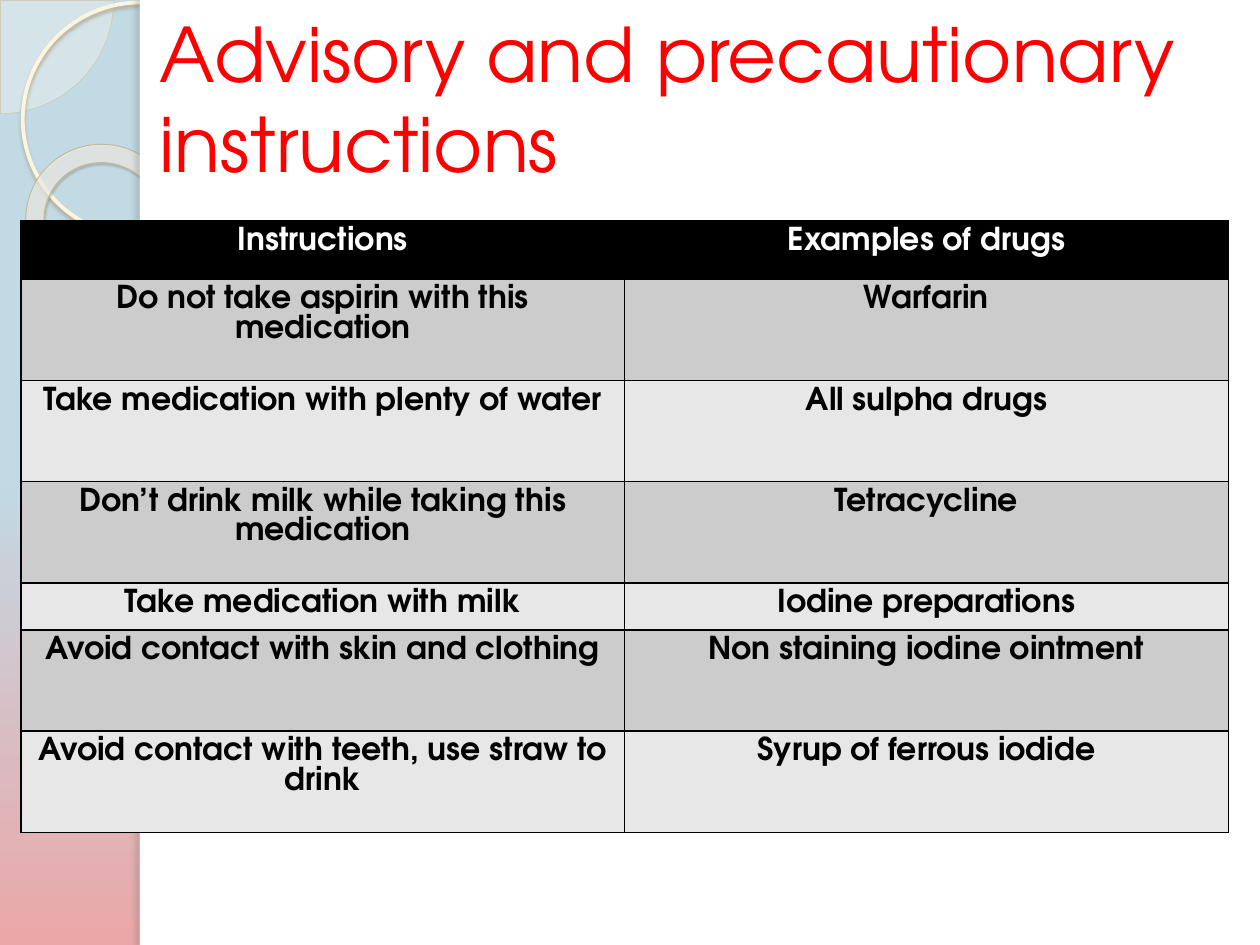
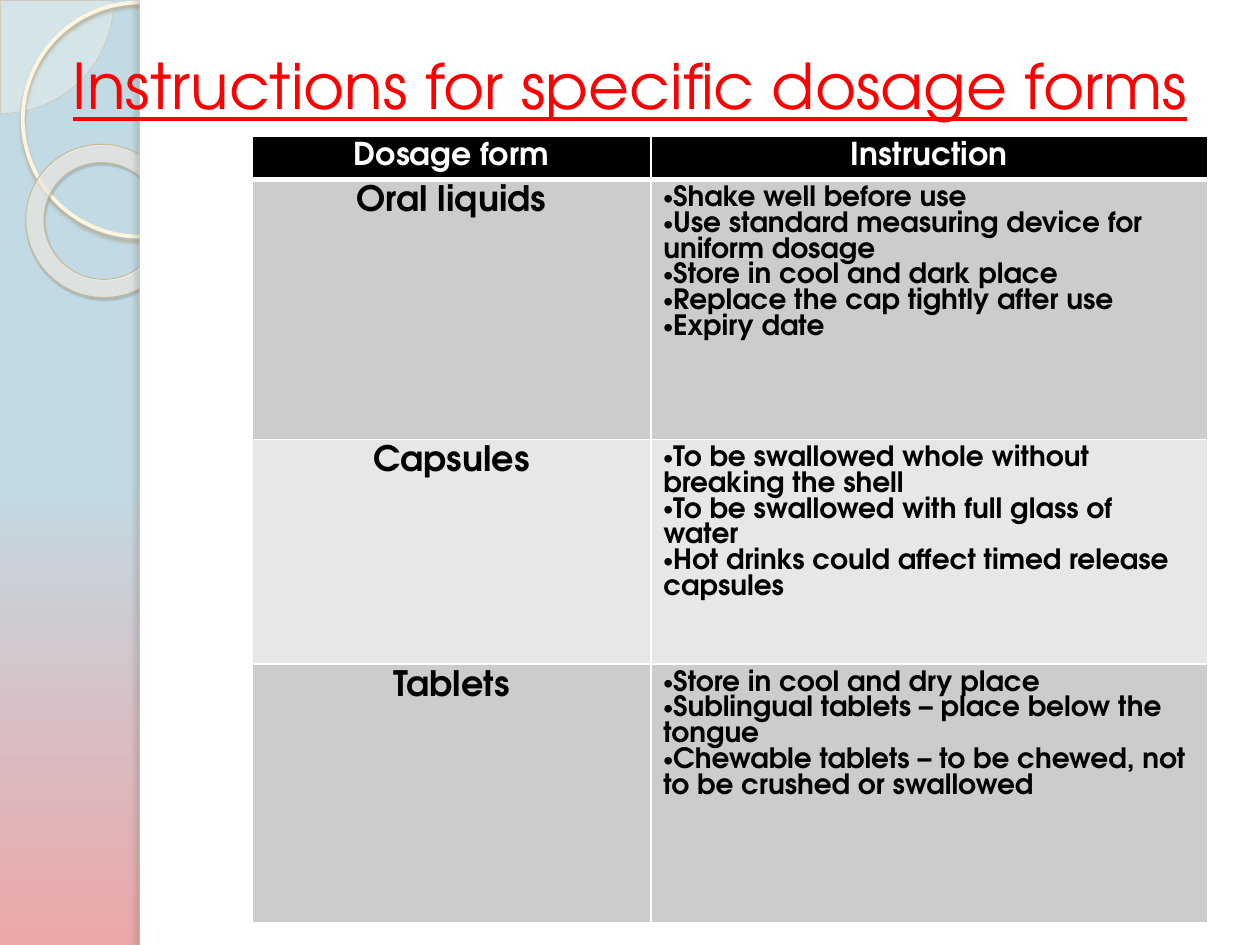
from lxml import etree
from pptx import Presentation
from pptx import util as u
from pptx.dml.color import RGBColor
from pptx.enum import shapes, text
from pptx.oxml.ns import qn

FONT = "TeX Gyre Adventor"
RED, BLACK, WHITE = "FF0000", "000000", "FFFFFF"
BANDS = ("CCCCCC", "E7E7E7")
SLIDE_W, SLIDE_H = 25.4, 19.05
PANEL_X = 2.82

ADVICE = [
    ("Instructions", "Examples of drugs"),
    ("Do not take aspirin with this medication", "Warfarin"),
    ("Take medication with plenty of water", "All sulpha drugs"),
    ("Don’t drink milk while taking this medication", "Tetracycline"),
    ("Take medication with milk", "Iodine preparations"),
    ("Avoid contact with skin and clothing", "Non staining iodine ointment"),
    ("Avoid contact with teeth, use straw to drink", "Syrup of ferrous iodide"),
]
DOSAGE_FORMS = [
    ("Dosage form", "Instruction"),
    ("Oral liquids", ["Shake well before use",
                      "Use standard measuring device for uniform dosage",
                      "Store in cool and dark place",
                      "Replace the cap tightly after use",
                      "Expiry date"]),
    ("Capsules", ["To be swallowed whole without breaking the shell",
                  "To be swallowed with full glass of water",
                  "Hot drinks could affect timed release capsules"]),
    ("Tablets", ["Store in cool and dry place",
                 "Sublingual tablets – place below the tongue",
                 "Chewable tablets – to be chewed, not to be crushed or swallowed"]),
]


def rgb(value):
    return RGBColor.from_string(value)


def sub(parent, tag, **attrs):
    return etree.SubElement(parent, qn(tag), {k: str(v) for k, v in attrs.items()})


def add_color(parent, value, alpha=100):
    clr = sub(parent, "a:srgbClr", val=value)
    if alpha < 100:
        sub(clr, "a:alpha", val=alpha * 1000)


# Shapes of the shared backdrop
def add_decor(slide, kind, box, fill=None, alpha=100, line=None, shadow=None):
    sp = slide.shapes.add_shape(kind, *map(u.Cm, box))
    if fill:
        sp.fill.solid()
        sp.fill.fore_color.rgb = rgb(fill)
        if alpha < 100:
            clr = sp.element.spPr.find(qn("a:solidFill"))[0]
            sub(clr, "a:alpha", val=alpha * 1000)
    else:
        sp.fill.background()
    if line:
        sp.line.color.rgb = rgb(line[0])
        sp.line.width = u.Pt(line[1])
    else:
        sp.line.fill.background()
    sp.shadow.inherit = False
    if shadow:
        color, opacity, blur, dist, angle = shadow
        effects = sp.element.spPr.find(qn("a:effectLst"))
        outer = sub(effects, "a:outerShdw", blurRad=u.Pt(blur), dist=u.Pt(dist),
                    dir=angle * 60000, algn="tl", rotWithShape=0)
        add_color(outer, color, opacity)
    return sp


def build_backdrop(prs, slide):
    """Draw the side band and white panel, then move them to the master."""
    master = prs.slide_master
    fill = master.background.fill
    fill.gradient()
    fill.gradient_angle = 270
    for stop, color, pos in zip(fill.gradient_stops, ("C1DAE4", "EBA7A8"), (0.5, 1)):
        stop.color.rgb = rgb(color)
        stop.position = pos

    kinds = shapes.MSO_SHAPE
    pie = add_decor(slide, kinds.PIE, (-2.26, -2.26, 4.55, 4.55), "FEFAF4", 33,
                    line=("D3C39F", 0.25))
    pie.adjustments[0], pie.adjustments[1] = 0, 54.02
    ring = add_decor(slide, kinds.OVAL, (0.46, 0.05, 4.72, 4.72),
                     line=("FFF5DE", 2.15), shadow=("B0A68F", 85, 2, 2, 90))
    donut = add_decor(slide, kinds.DONUT, (0.51, 2.92, 3.12, 3.07), "FFFCF6", 60,
                      line=("C7B893", 0.58), shadow=("5A5444", 35, 1, 1.2, 75))
    donut.adjustments[0] = 0.12
    donut.rotation = 38.6
    panel = add_decor(slide, kinds.RECTANGLE,
                      (PANEL_X, 0, SLIDE_W - PANEL_X, SLIDE_H), WHITE)
    edge = add_decor(slide, kinds.RECTANGLE, (PANEL_X, 0, 0.2, SLIDE_H), WHITE,
                     shadow=("736F63", 25, 3, 3, 180))

    for i, sp in enumerate((pie, ring, donut, panel, edge)):
        sp.element.nvSpPr.cNvPr.set("id", str(101 + i))
        master.shapes.element.insert(2 + i, sp.element)


# Titles
def set_title(slide, words, box, size, align, underline=False):
    sp = slide.shapes.title
    sp.left, sp.top, sp.width, sp.height = map(u.Cm, box)
    tf = sp.text_frame
    tf.text = words
    tf.word_wrap = True
    tf.auto_size = text.MSO_AUTO_SIZE.NONE
    tf.vertical_anchor = text.MSO_ANCHOR.MIDDLE
    p = tf.paragraphs[0]
    p.alignment = align
    p.font.name, p.font.size = FONT, u.Pt(size)
    p.font.color.rgb = rgb(RED)
    p.font.underline = underline


# Tables
def set_borders(cell, color, bottom):
    tc_pr = cell._tc.get_or_add_tcPr()
    for side, width in zip("LRTB", (1, 1, 1, bottom)):
        ln = sub(tc_pr, f"a:ln{side}", w=u.Pt(width))
        add_color(sub(ln, "a:solidFill"), color)


def fill_cell(cell, content, size, color, fill):
    cell.fill.solid()
    cell.fill.fore_color.rgb = rgb(fill)
    bulleted = isinstance(content, list)
    tf = cell.text_frame
    tf.text = "\n".join(content) if bulleted else content
    for p in tf.paragraphs:
        p.alignment = text.PP_ALIGN.LEFT if bulleted else text.PP_ALIGN.CENTER
        if bulleted:
            p_pr = p._p.get_or_add_pPr()
            p_pr.set("marL", "0")
            p_pr.set("indent", "0")
            sub(p_pr, "a:buFont", typeface="Arial")
            sub(p_pr, "a:buChar", char="•")
        p.font.name, p.font.size, p.font.bold = FONT, u.Pt(size), True
        p.font.color.rgb = rgb(color)


def add_grid(slide, rows, left, top, widths, heights, border,
             header_line=1, label_size=18, list_size=16):
    frame = slide.shapes.add_table(len(rows), len(widths), u.Cm(left), u.Cm(top),
                                   u.Cm(sum(widths)), u.Cm(sum(heights)))
    table = frame.table
    table.first_row = table.horz_banding = False
    for col, width in zip(table.columns, widths):
        col.width = u.Cm(width)
    for i, (row, height) in enumerate(zip(rows, heights)):
        table.rows[i].height = u.Cm(height)
        for j, content in enumerate(row):
            cell = table.cell(i, j)
            set_borders(cell, border, header_line if i == 0 else 1)
            if i == 0:
                fill_cell(cell, content, 18, WHITE, BLACK)
            else:
                size = list_size if isinstance(content, list) else label_size
                fill_cell(cell, content, size, BLACK, BANDS[(i - 1) % 2])


def main():
    prs = Presentation()
    prs.slide_width, prs.slide_height = u.Cm(SLIDE_W), u.Cm(SLIDE_H)
    title_only = prs.slide_layouts[5]

    # Advisory instructions
    s = prs.slides.add_slide(title_only)
    build_backdrop(prs, s)
    set_title(s, "Advisory and precautionary instructions",
              (2.97, 0, 22.43, 3.94), 43, text.PP_ALIGN.LEFT)
    add_grid(s, ADVICE, 0.42, 4.45, [12.17] * 2,
             [1.18, 2.04, 2.04, 2.04, 0.95, 2.04, 2.04], BLACK)

    # Dosage forms
    s = prs.slides.add_slide(title_only)
    set_title(s, "Instructions for specific dosage forms",
              (0, 0, SLIDE_W, 3.38), 36, text.PP_ALIGN.CENTER, underline=True)
    add_grid(s, DOSAGE_FORMS, 5.08, 2.74, [8.04, 11.22],
             [0.88, 5.24, 4.53, 5.22], WHITE, header_line=3, label_size=20)

    prs.save("out.pptx")


if __name__ == "__main__":
    main()
